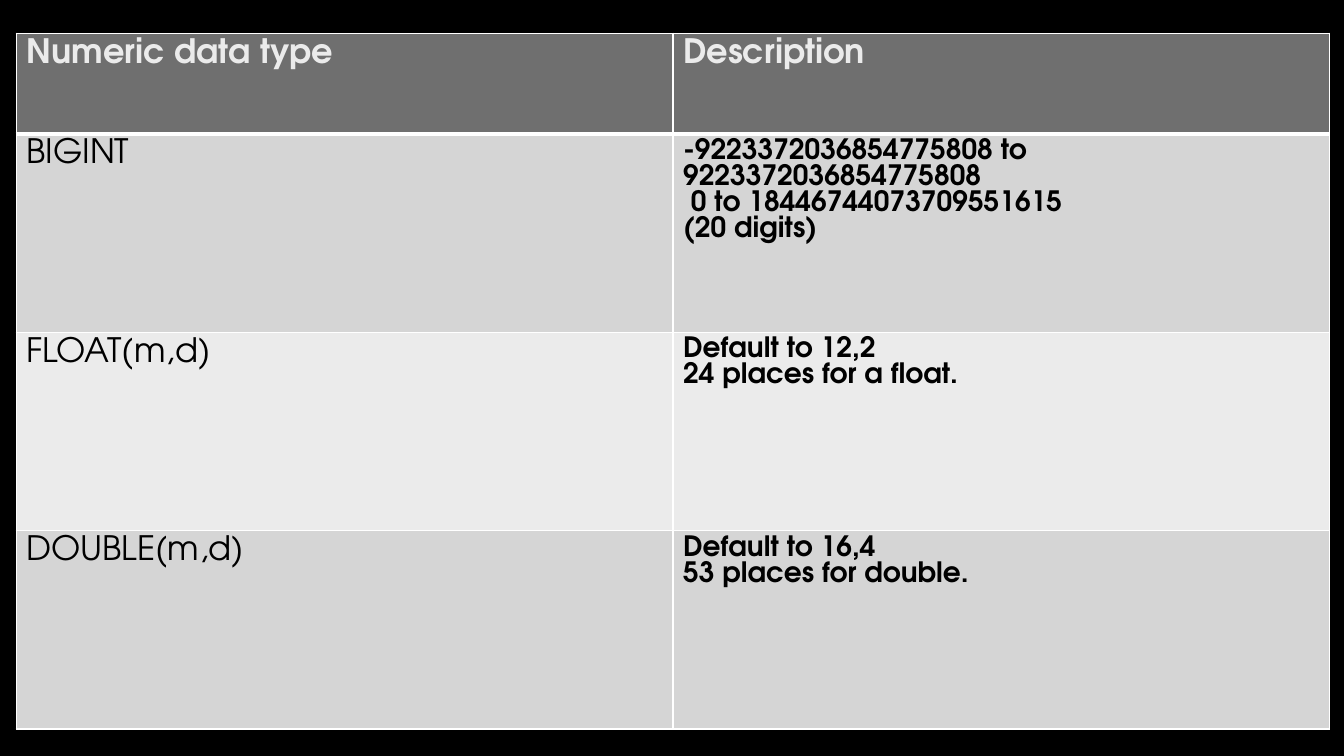
from lxml.etree import SubElement
from pptx import Presentation
from pptx.dml.color import RGBColor
from pptx.oxml.ns import qn
from pptx.util import Cm, Pt

FONT = "TeX Gyre Adventor"
HEADER_FILL, DARK_BAND, LIGHT_BAND = "6F6F6F", "D5D5D5", "EBEBEB"
BLACK, WHITE, HEADER_TEXT = "000000", "FFFFFF", "EBEBEB"

HEADINGS = ["Numeric data type", "Description"]
DATA_TYPES = [
    ("BIGINT", ["-9223372036854775808 to 9223372036854775808",
                " 0 to 18446744073709551615",
                "(20 digits)"]),
    ("FLOAT(m,d)", ["Default to 12,2", "24 places for a float."]),
    ("DOUBLE(m,d)", ["Default to 16,4", "53 places for double."]),
]


def set_colour(colour_format, value):
    colour_format.rgb = RGBColor.from_string(value)


def set_fill(fill, value):
    fill.solid()
    set_colour(fill.fore_color, value)


def set_borders(cell, bottom_width=1, top_width=1):
    """Draw white cell borders; widths are in points."""
    properties = cell._tc.get_or_add_tcPr()
    widths = {"a:lnL": 1, "a:lnR": 1, "a:lnT": top_width, "a:lnB": bottom_width}
    for position, (tag, width) in enumerate(widths.items()):
        line = SubElement(properties, qn(tag), w=str(Pt(width)))
        solid = SubElement(line, qn("a:solidFill"))
        SubElement(solid, qn("a:srgbClr"), val=WHITE)
        properties.insert(position, line)


def write_cell(cell, lines, size, bold, colour, fill):
    set_fill(cell.fill, fill)
    frame = cell.text_frame
    for index, text in enumerate(lines):
        paragraph = frame.add_paragraph() if index else frame.paragraphs[0]
        run = paragraph.add_run()
        run.text = text
        run.font.name = FONT
        run.font.size = Pt(size)
        run.font.bold = bold
        set_colour(run.font.color, colour)


def add_type_table(slide):
    column_width, header_height, row_height = Cm(16.55), Cm(2.53), Cm(5)
    row_count = len(DATA_TYPES) + 1
    table = slide.shapes.add_table(
        row_count, 2, Cm(0.41), Cm(0.84), column_width * 2,
        header_height + row_height * len(DATA_TYPES)).table
    for column in table.columns:
        column.width = column_width
    for index, row in enumerate(table.rows):
        row.height = row_height if index else header_height

    for column, heading in enumerate(HEADINGS):
        cell = table.cell(0, column)
        write_cell(cell, [heading], 24, True, HEADER_TEXT, HEADER_FILL)
        set_borders(cell, bottom_width=3)
    for row, (name, description) in enumerate(DATA_TYPES, start=1):
        band = DARK_BAND if row % 2 else LIGHT_BAND
        name_cell, description_cell = table.cell(row, 0), table.cell(row, 1)
        write_cell(name_cell, [name], 24, False, BLACK, band)
        write_cell(description_cell, description, 20, True, BLACK, band)
        for cell in (name_cell, description_cell):
            set_borders(cell, top_width=3 if row == 1 else 1)


def main():
    presentation = Presentation()
    presentation.slide_width, presentation.slide_height = Cm(33.87), Cm(19.05)
    slide = presentation.slides.add_slide(presentation.slide_layouts[6])
    set_fill(slide.background.fill, BLACK)
    add_type_table(slide)
    presentation.save("out.pptx")


if __name__ == "__main__":
    main()
